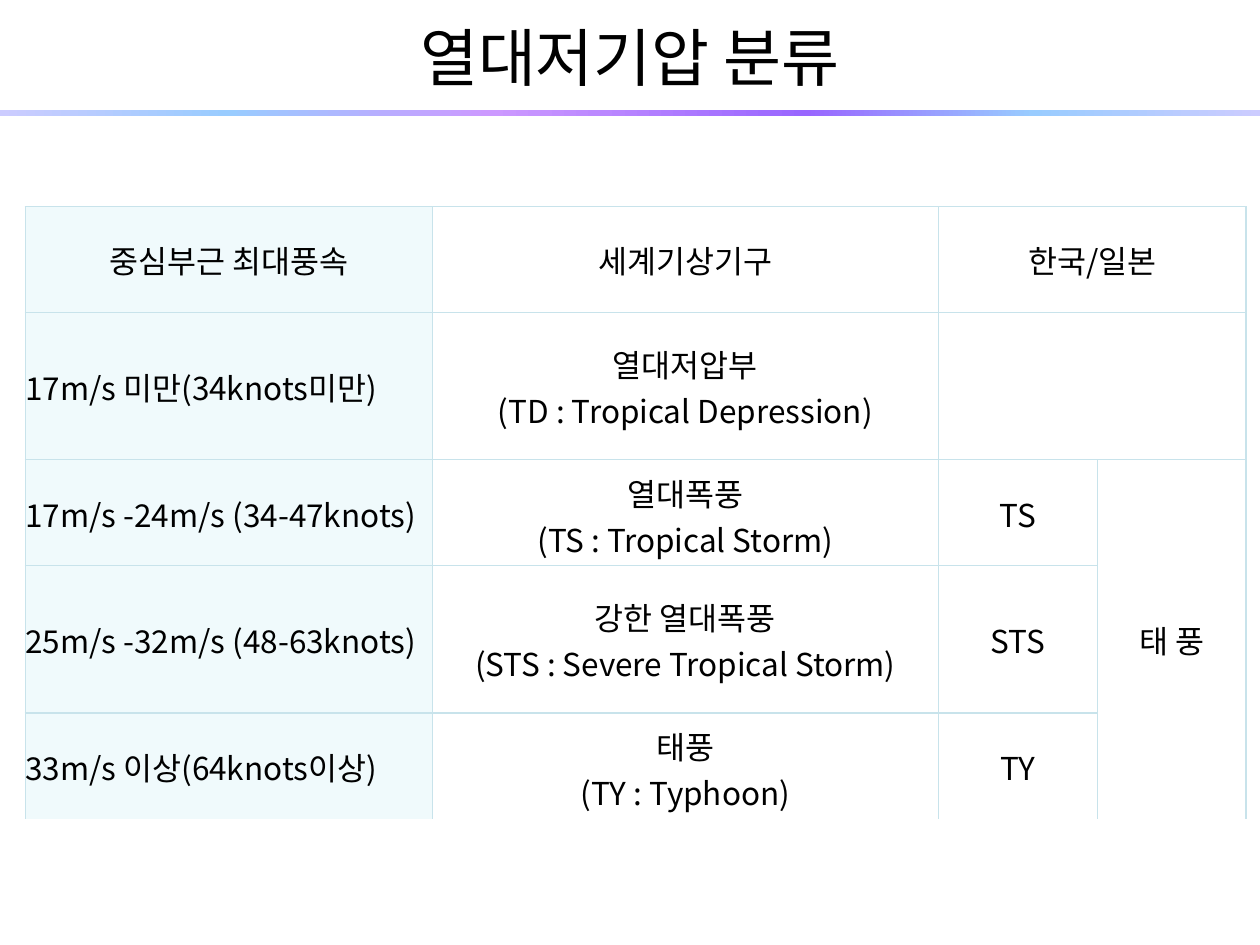
from lxml import etree
from pptx import Presentation
from pptx.dml.color import RGBColor
from pptx.enum.shapes import MSO_SHAPE
from pptx.enum.text import MSO_ANCHOR, PP_ALIGN
from pptx.oxml.ns import qn
from pptx.util import Inches, Pt

RECT = MSO_SHAPE.RECTANGLE
MIDDLE = MSO_ANCHOR.MIDDLE
LEFT, CENTER = PP_ALIGN.LEFT, PP_ALIGN.CENTER

WIDE, HIGH = Inches(10), Inches(7.5)
FONT = "Noto Sans CJK KR"
INK, EDGE, TINT = "000000", "C8E3EB", "F0FAFC"
PLAIN_STYLE = "{2D5ABB26-0587-4C30-8999-92F81FD0307C}"

STOPS = [(0, "CCCCFF"), (18, "99CCFF"), (36, "9966FF"),
         (61, "CC99FF"), (82, "99CCFF"), (100, "CCCCFF")]
COLS = [3.23, 4.02, 1.26, 1.18]
ROWS = [0.84, 1.17, 0.84, 1.17, 0.84]
CELLS = [
    ["중심부근 최대풍속", "세계기상기구", "한국/일본", ""],
    ["17m/s 미만(34knots미만)", "열대저압부\n(TD : Tropical Depression)", "", ""],
    ["17m/s -24m/s (34-47knots)", "열대폭풍\n(TS : Tropical Storm)", "TS", "태 풍"],
    ["25m/s -32m/s (48-63knots)", "강한 열대폭풍\n(STS : Severe Tropical Storm)", "STS", ""],
    ["33m/s 이상(64knots이상)", "태풍\n(TY : Typhoon)", "TY", ""],
]
MERGES = [((0, 2), (0, 3)), ((1, 2), (1, 3)), ((2, 3), (4, 3))]
BOX_FORM = {"margin_left": 0, "margin_right": 0, "margin_top": 0,
            "margin_bottom": 0, "vertical_anchor": MIDDLE, "word_wrap": True}
CELL_FORM = {"margin_left": 0, "margin_right": 0, "margin_top": Inches(0.08),
             "margin_bottom": Inches(0.07), "vertical_anchor": MIDDLE}


def color(code):
    return RGBColor.from_string(code)


def apply(item, form):
    for name, value in form.items():
        setattr(item, name, value)


def node(parent, tag, **attrs):
    return etree.SubElement(parent, qn(tag), attrs)


def write(frame, text, size, align):
    frame.text = text
    for para in frame.paragraphs:
        para.alignment = align
        for run in para.runs:
            apply(run.font, {"name": FONT, "size": Pt(size)})
            run.font.color.rgb = color(INK)
            node(run.font._element, "a:ea", typeface=FONT)


def add_title(slide, text):
    box = slide.shapes.add_textbox(0, int(HIGH * 0.028), WIDE, Inches(0.47))
    apply(box.text_frame, BOX_FORM)
    write(box.text_frame, text, 36, CENTER)


def add_band(slide):
    band = slide.shapes.add_shape(RECT, 0, Inches(0.87), WIDE, Inches(0.05))
    band.shadow.inherit = False
    band.line.fill.background()
    band.fill.gradient()
    grad = band._element.spPr.find(qn("a:gradFill"))
    for child in list(grad):
        grad.remove(child)
    stops = node(grad, "a:gsLst")
    for share, code in STOPS:
        stop = node(stops, "a:gs", pos=str(share * 1000))
        node(stop, "a:srgbClr", val=code)
    node(grad, "a:lin", ang=str(180 * 60000), scaled="0")


def edge_cell(cell, row):
    """Line the outer sides of a cell, leaving the foot of the table open."""
    if cell.is_spanned:
        sides = "R"
    else:
        tall = cell.span_height if cell.is_merge_origin else 1
        sides = "LRT" if row + tall == len(ROWS) else "LRTB"
    props = cell._tc.get_or_add_tcPr()
    for side in sides:
        line = node(props, f"a:ln{side}", w=str(Pt(0.75)))
        node(node(line, "a:solidFill"), "a:srgbClr", val=EDGE)


def add_grid(slide):
    grid = slide.shapes.add_table(
        len(ROWS), len(COLS), Inches(0.2), Inches(1.64),
        Inches(sum(COLS)), Inches(sum(ROWS))).table
    apply(grid, {"first_row": False, "horz_banding": False})
    grid._tbl.tblPr.find(qn("a:tableStyleId")).text = PLAIN_STYLE
    for col, width in zip(grid.columns, COLS):
        col.width = Inches(width)
    for row, height in zip(grid.rows, ROWS):
        row.height = Inches(height)
    for start, end in MERGES:
        grid.cell(*start).merge(grid.cell(*end))
    for r, texts in enumerate(CELLS):
        for c, text in enumerate(texts):
            cell = grid.cell(r, c)
            apply(cell, CELL_FORM)
            edge_cell(cell, r)
            if c == 0:
                cell.fill.solid()
                cell.fill.fore_color.rgb = color(TINT)
            else:
                cell.fill.background()
            if text:
                write(cell.text_frame, text, 18, LEFT if r and c == 0 else CENTER)


def main():
    deck = Presentation()
    apply(deck, {"slide_width": WIDE, "slide_height": HIGH})
    slide = deck.slides.add_slide(deck.slide_layouts[6])
    add_band(slide)
    add_title(slide, "열대저기압 분류")
    add_grid(slide)
    deck.save("out.pptx")


if __name__ == "__main__":
    main()
